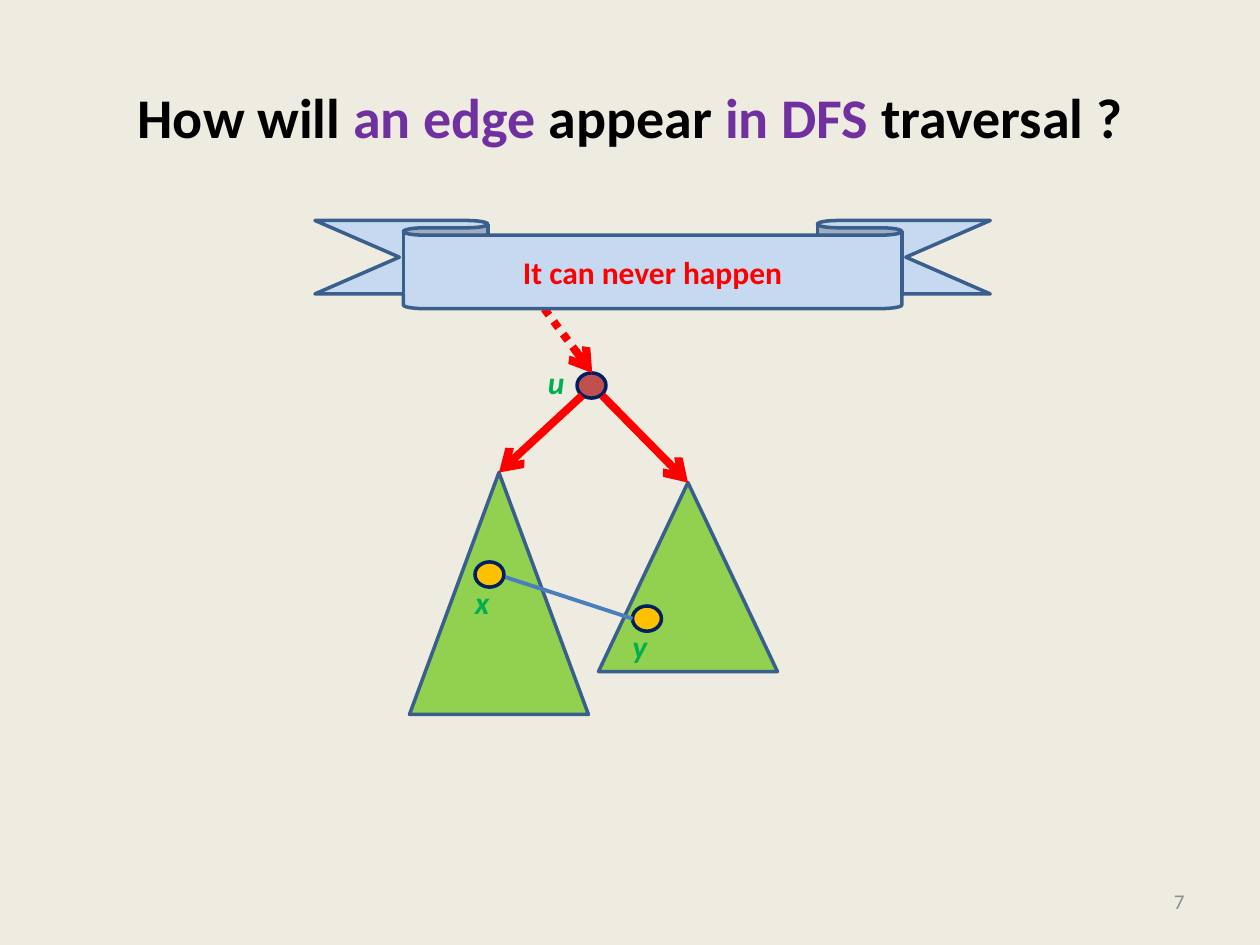
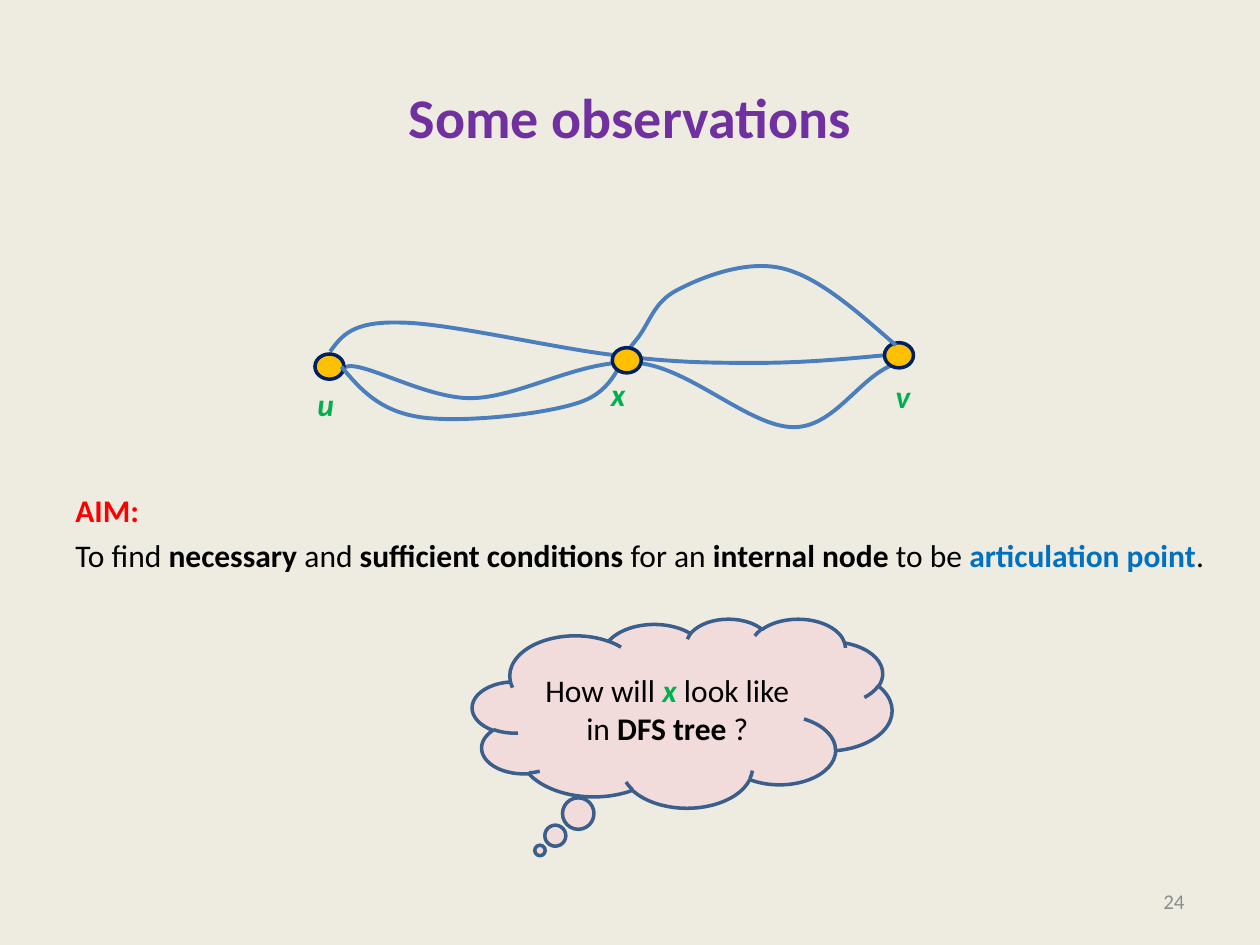
from dataclasses import dataclass
from typing import Optional

from lxml.etree import SubElement
from pptx import Presentation
from pptx.dml.color import RGBColor
from pptx.enum.dml import MSO_LINE
from pptx.enum.shapes import MSO_CONNECTOR as Link, MSO_SHAPE as Preset
from pptx.enum.text import MSO_ANCHOR as Anchor, MSO_AUTO_SIZE as AutoSize, PP_ALIGN as Align
from pptx.oxml.ns import qn
from pptx.util import Inches, Pt

FONT = "Calibri"
COLORS = {
    "paper": "EEECE1", "black": "000000", "purple": "7030A0", "red": "FF0000",
    "green": "00B050", "blue": "0070C0", "gray": "8C8C8C", "outline": "3A5F8C",
    "edge": "4B7EBC", "navy": "002060", "subtree": "92D050", "root": "C0504D",
    "node": "FFC000", "ribbon": "C6D9F1", "cloud": "F2DCDB",
}
NODE_WIDTH, NODE_HEIGHT = 0.23, 0.2
LABEL_FRAME = {"word_wrap": False, "auto_size": AutoSize.SHAPE_TO_FIT_TEXT}
BODY_FRAME = {"word_wrap": True, "auto_size": AutoSize.NONE}
MIDDLE_FRAME = {**BODY_FRAME, "vertical_anchor": Anchor.MIDDLE}

Point = tuple[float, float]


@dataclass(frozen=True)
class Run:
    text: str
    color: str = "black"
    bold: bool = False
    italic: bool = False


@dataclass(frozen=True)
class Box:
    left: float
    top: float
    width: float
    height: float


@dataclass(frozen=True)
class Node:
    left: float
    top: float
    name: str
    label: Point
    fill: str = "node"


@dataclass(frozen=True)
class Arrow:
    start: Point
    end: Point
    dotted: bool = False


@dataclass(frozen=True)
class Curve:
    start: Point
    segments: tuple[tuple[Point, Point, Point], ...]


def rgb(name: str) -> RGBColor:
    return RGBColor.from_string(COLORS[name])


def lengths(box: Box) -> tuple:
    return tuple(Inches(v) for v in (box.left, box.top, box.width, box.height))


def emu(point: Point) -> tuple:
    return Inches(point[0]), Inches(point[1])


def write(frame, paragraphs: list[list[Run]], size: float, align, settings: dict,
          gap: float = 0) -> None:
    for key, value in settings.items():
        setattr(frame, key, value)
    for index, runs in enumerate(paragraphs):
        paragraph = frame.paragraphs[0] if index == 0 else frame.add_paragraph()
        paragraph.alignment = align
        if index:
            paragraph.space_before = Pt(gap)
        for part in runs:
            run = paragraph.add_run()
            run.text = part.text
            run.font.color.rgb = rgb(part.color)
            style = {"name": FONT, "size": Pt(size), "bold": part.bold, "italic": part.italic}
            for key, value in style.items():
                setattr(run.font, key, value)


def add_text(slide, box: Box, paragraphs: list[list[Run]], size: float = 18,
             align=Align.LEFT, settings: dict = BODY_FRAME, gap: float = 0) -> None:
    frame = slide.shapes.add_textbox(*lengths(box)).text_frame
    write(frame, paragraphs, size, align, settings, gap)


def add_preset(slide, preset, box: Box, fill: str, line: str = "outline",
               adjustments: tuple[float, ...] = (), runs: Optional[list[Run]] = None):
    shape = slide.shapes.add_shape(preset, *lengths(box))
    shape.shadow.inherit = False
    shape.fill.solid()
    shape.fill.fore_color.rgb = rgb(fill)
    shape.line.color.rgb = rgb(line)
    shape.line.width = Pt(2)
    for index, value in enumerate(adjustments):
        shape.adjustments[index] = value
    if runs:
        write(shape.text_frame, [runs], 18, Align.CENTER, MIDDLE_FRAME)
    return shape


def add_node(slide, node: Node) -> None:
    add_preset(slide, Preset.OVAL, Box(node.left, node.top, NODE_WIDTH, NODE_HEIGHT),
               node.fill, "navy")
    add_text(slide, Box(*node.label, 0.33, 0.4),
             [[Run(node.name, "green", True, True)]], settings=LABEL_FRAME)


def add_line(slide, start: Point, end: Point, color: str, width: float):
    line = slide.shapes.add_connector(Link.STRAIGHT, *emu(start), *emu(end))
    line.line.color.rgb = rgb(color)
    line.line.width = Pt(width)
    SubElement(line._element.spPr, qn("a:effectLst"))
    return line


def add_arrow(slide, arrow: Arrow):
    line = add_line(slide, arrow.start, arrow.end, "red", 4.5)
    if arrow.dotted:
        line.line.dash_style = MSO_LINE.ROUND_DOT
    SubElement(line._element.spPr.find(qn("a:ln")), qn("a:tailEnd"), type="arrow")
    return line


def add_curve(slide, curve: Curve) -> None:
    builder = slide.shapes.build_freeform(*emu(curve.start))
    builder.add_line_segments([emu(segment[-1]) for segment in curve.segments], close=False)
    route = builder.convert_to_shape()
    outline = route._element.spPr.find(".//" + qn("a:path"))
    for straight, segment in zip(outline.findall(qn("a:lnTo")), curve.segments):
        bend = SubElement(outline, qn("a:cubicBezTo"))
        for x, y in map(emu, segment):
            SubElement(bend, qn("a:pt"), x=str(x - route.left), y=str(y - route.top))
        outline.replace(straight, bend)
    route.shadow.inherit = False
    route.fill.background()
    route.line.color.rgb = rgb("edge")
    route.line.width = Pt(2.25)


def add_slide(deck, title: list[Run], number: int):
    slide = deck.slides.add_slide(deck.slide_layouts[5])
    slide.background.fill.solid()
    slide.background.fill.fore_color.rgb = rgb("paper")
    heading = slide.shapes.title
    heading.left, heading.top, heading.width, heading.height = lengths(Box(0.5, 0.3, 9, 1.25))
    write(heading.text_frame, [title], 32, Align.CENTER, MIDDLE_FRAME)
    add_text(slide, Box(7.17, 6.95, 2.33, 0.4), [[Run(str(number), "gray")]], 12,
             Align.RIGHT, MIDDLE_FRAME)
    return slide


def build_edge_slide(deck) -> None:
    slide = add_slide(deck, [
        Run("How will", bold=True), Run(" an edge ", "purple", True),
        Run("appear", bold=True), Run(" in DFS ", "purple", True),
        Run("traversal ?", bold=True)], 7)
    left_subtree, right_subtree = (
        add_preset(slide, Preset.ISOSCELES_TRIANGLE, box, "subtree")
        for box in (Box(3.25, 3.75, 1.42, 1.92), Box(4.75, 3.83, 1.42, 1.5)))
    add_node(slide, Node(4.58, 2.96, "u", (4.25, 2.83), "root"))
    add_arrow(slide, Arrow((4.78, 3.14), (5.46, 3.83))).end_connect(right_subtree, 0)
    add_arrow(slide, Arrow((4.62, 3.14), (3.96, 3.75))).end_connect(left_subtree, 0)
    add_arrow(slide, Arrow((4.17, 2.25), (4.7, 2.96), dotted=True))
    add_preset(slide, Preset.DOWN_RIBBON, Box(2.5, 1.75, 5.36, 0.7), "ribbon",
               adjustments=(0.167, 0.738), runs=[Run("It can never happen", "red", True)])
    add_node(slide, Node(5.02, 4.81, "y", (4.92, 4.93)))
    add_line(slide, (4.01, 4.58), (5.02, 4.91), "edge", 2.25)
    add_node(slide, Node(3.77, 4.46, "x", (3.67, 4.58)))


def build_observations_slide(deck) -> None:
    slide = add_slide(deck, [Run("Some observations", "purple", True)], 24)
    add_text(slide, Box(0.5, 3.85, 9.25, 0.8), [
        [Run("AIM:", "red", True)],
        [Run("To find "), Run("necessary ", bold=True), Run("and "),
         Run("sufficient conditions ", bold=True), Run("for an "),
         Run("internal node ", bold=True), Run("to be "),
         Run("articulation point", "blue", True), Run(".")]], gap=4)

    middle_route = Curve((2.72, 2.93), (
        ((2.8, 2.81), (3.36, 3.17), (3.75, 3.16)),
        ((4.14, 3.15), (4.63, 2.84), (5.06, 2.88)),
        ((5.48, 2.92), (5.95, 3.39), (6.3, 3.39)),
        ((6.66, 3.39), (6.86, 2.9), (7.19, 2.87))))
    upper_route = Curve((2.62, 2.79), (
        ((2.71, 2.67), (2.79, 2.55), (3.17, 2.56)),
        ((3.55, 2.56), (4.42, 2.77), (4.89, 2.82)),
        ((5.36, 2.88), (5.66, 2.88), (6.01, 2.88)),
        ((6.37, 2.88), (6.7, 2.85), (7.02, 2.82))))
    crossing_route = Curve((2.71, 2.91), (
        ((2.86, 3.09), (3.01, 3.26), (3.33, 3.31)),
        ((3.65, 3.36), (4.33, 3.29), (4.61, 3.19)),
        ((4.89, 3.09), (4.91, 2.86), (5.04, 2.71)),
        ((5.16, 2.57), (5.18, 2.4), (5.38, 2.3)),
        ((5.57, 2.2), (5.92, 2.06), (6.21, 2.13)),
        ((6.5, 2.2), (6.8, 2.47), (7.11, 2.74))))

    for route in (middle_route, upper_route):
        add_curve(slide, route)
    add_node(slide, Node(7.02, 2.72, "v", (7.01, 2.94)))
    add_node(slide, Node(2.5, 2.81, "u", (2.42, 3.01)))
    add_curve(slide, crossing_route)
    add_node(slide, Node(4.86, 2.76, "x", (4.75, 2.93)))
    add_preset(slide, Preset.CLOUD_CALLOUT, Box(3.75, 4.91, 3.33, 1.5), "cloud",
               adjustments=(-0.339, 0.727), runs=[
                   Run("How will "), Run("x ", "green", True, True),
                   Run("look like in "), Run("DFS tree ", bold=True), Run("?")])


def main() -> None:
    deck = Presentation()
    deck.slide_width, deck.slide_height = Inches(10), Inches(7.5)
    build_edge_slide(deck)
    build_observations_slide(deck)
    deck.save("out.pptx")


if __name__ == "__main__":
    main()
